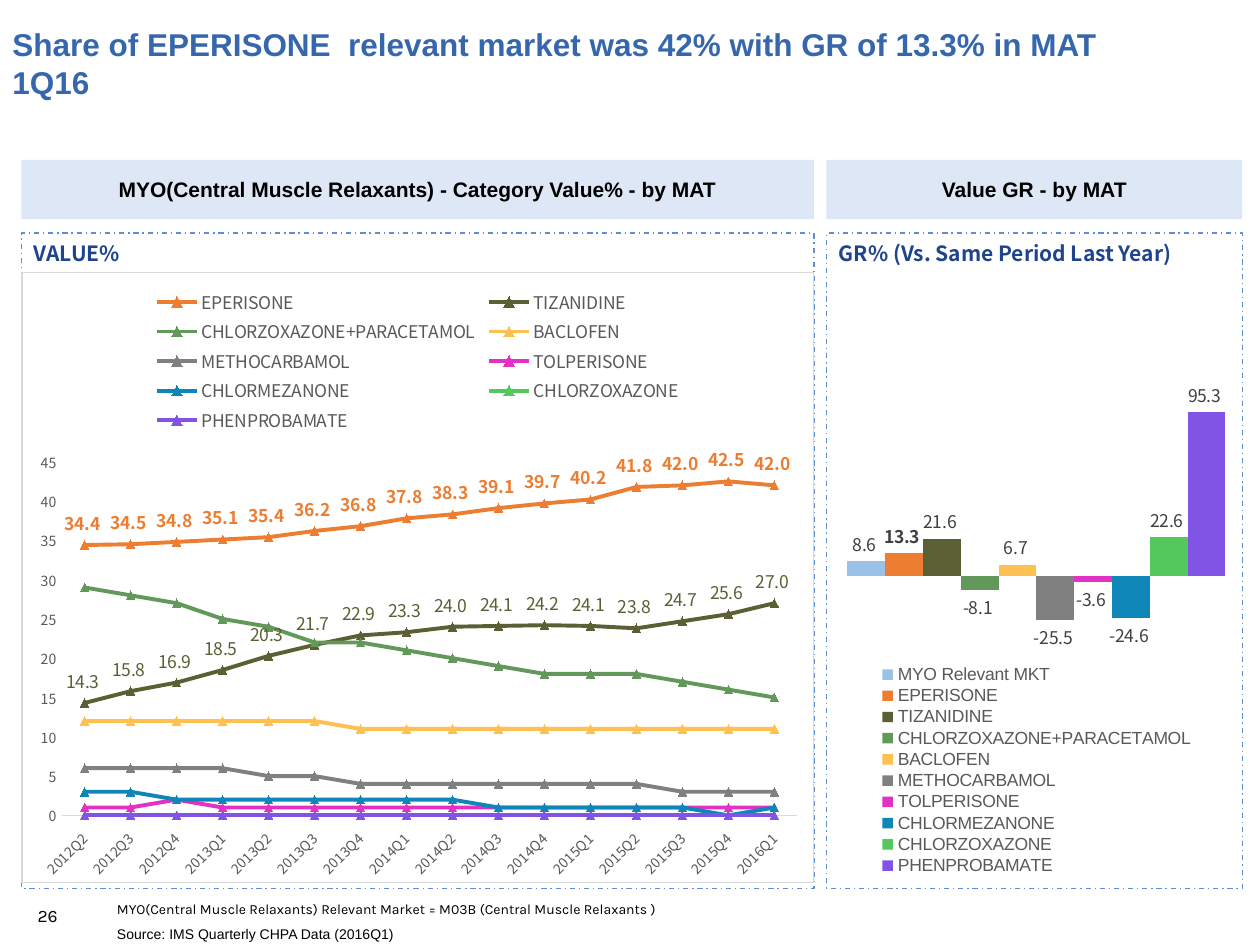
"""Build a slide on muscle relaxant market share and growth."""
from lxml import etree
from pptx import Presentation
from pptx.chart.data import CategoryChartData
from pptx.dml.color import RGBColor
from pptx.enum.chart import (XL_CHART_TYPE, XL_LABEL_POSITION, XL_LEGEND_POSITION,
                             XL_MARKER_STYLE, XL_TICK_LABEL_POSITION, XL_TICK_MARK)
from pptx.enum.dml import MSO_LINE
from pptx.enum.shapes import MSO_SHAPE
from pptx.enum.text import MSO_ANCHOR, PP_ALIGN
from pptx.oxml import parse_xml
from pptx.oxml.ns import nsdecls, qn
from pptx.util import Inches, Pt

COLUMN, LINE = XL_CHART_TYPE.COLUMN_CLUSTERED, XL_CHART_TYPE.LINE_MARKERS
ABOVE, OUTER = XL_LABEL_POSITION.ABOVE, XL_LABEL_POSITION.OUTSIDE_END
TOP, BOTTOM = XL_LEGEND_POSITION.TOP, XL_LEGEND_POSITION.BOTTOM
TRIANGLE, NO_TICK = XL_MARKER_STYLE.TRIANGLE, XL_TICK_MARK.NONE
LOW = XL_TICK_LABEL_POSITION.LOW
RECT, DASH = MSO_SHAPE.RECTANGLE, MSO_LINE.DASH_DOT
MIDDLE, UPPER = MSO_ANCHOR.MIDDLE, MSO_ANCHOR.TOP
CENTER = PP_ALIGN.CENTER

SANS, CJK, KARLA = "Arial", "Noto Sans CJK SC", "Karla"
BLACK, NAVY, GREY, PALE = "000000", "1F448D", "595959", "D9D9D9"
BOLD = "EPERISONE"

TEXTS = [
    ("26", (0.2, 7.13, 0.63, 0.27), 10, KARLA, BLACK, False, MIDDLE),
    ("Share of EPERISONE  relevant market was 42% with GR of 13.3% in MAT 1Q16",
     (0, 0, 8.91, 1), 18, SANS, "3667AC", True, MIDDLE),
    ("MYO(Central Muscle Relaxants) Relevant Market = M03B (Central Muscle Relaxants )",
     (0.83, 7.12, 8.32, 0.18), 8, KARLA, BLACK, False, MIDDLE),
    ("Source: IMS Quarterly CHPA Data (2016Q1)",
     (0.83, 7.3, 8.32, 0.24), 8, SANS, BLACK, False, UPPER),
]
PANELS = [
    (0.17, 6.29, "MYO(Central Muscle Relaxants) - Category Value% - by MAT", "VALUE%"),
    (6.56, 3.3, "Value GR - by MAT", "GR% (Vs. Same Period Last Year)"),
]
GROWTH = [
    ("MYO Relevant MKT", 8.6, "9BC2E6"),
    ("EPERISONE", 13.3, "ED7D31"),
    ("TIZANIDINE", 21.6, "5C5F33"),
    ("CHLORZOXAZONE+PARACETAMOL", -8.1, "62995B"),
    ("BACLOFEN", 6.7, "FDC051"),
    ("METHOCARBAMOL", -25.5, "808080"),
    ("TOLPERISONE", -3.6, "E331C5"),
    ("CHLORMEZANONE", -24.6, "0E87B8"),
    ("CHLORZOXAZONE", 22.6, "54C85C"),
    ("PHENPROBAMATE", 95.3, "8154E6"),
]
SHARES = [
    [34.4, 34.5, 34.8, 35.1, 35.4, 36.2, 36.8, 37.8,
     38.3, 39.1, 39.7, 40.2, 41.8, 42, 42.5, 42],
    [14.3, 15.8, 16.9, 18.5, 20.3, 21.7, 22.9, 23.3,
     24, 24.1, 24.2, 24.1, 23.8, 24.7, 25.6, 27],
    [29, 28, 27, 25, 24, 22, 22, 21, 20, 19, 18, 18, 18, 17, 16, 15],
    [12] * 6 + [11] * 10,
    [6] * 4 + [5] * 2 + [4] * 7 + [3] * 3,
    [1, 1, 2] + [1] * 13,
    [3] * 2 + [2] * 7 + [1] * 5 + [0, 1],
    [0] * 16,
    [0] * 16,
]
COLORS = {name: color for name, _, color in GROWTH}
TERMS = [f"{n // 4}Q{n % 4 + 1}" for n in range(2012 * 4 + 1, 2016 * 4 + 1)]


def rgb(code):
    return RGBColor.from_string(code)


def style(font, size, face, color, bold=False):
    font.size, font.name, font.bold = Pt(size), face, bold
    font.color.rgb = rgb(color)


def write(shape, text, size, face, color, bold, anchor, wrap=True):
    frame = shape.text_frame
    frame.word_wrap, frame.vertical_anchor = wrap, anchor
    para = frame.paragraphs[0]
    para.text = text
    style(para.font, size, face, color, bold)
    return para


def add_text(slide, text, box, *look):
    write(slide.shapes.add_textbox(*map(Inches, box)), text, *look)


def add_rect(slide, *box):
    shape = slide.shapes.add_shape(RECT, *map(Inches, box))
    shape.shadow.inherit = False
    return shape


def add_panel(slide, left, width, head, label):
    bar = add_rect(slide, left, 1.27, width, 0.47)
    bar.fill.solid()
    bar.fill.fore_color.rgb = rgb("ABC5E7")
    tint = bar.fill._xPr.find(".//" + qn("a:srgbClr"))
    etree.SubElement(tint, qn("a:alpha"), val="40000")
    bar.line.fill.background()
    write(bar, head, 12, SANS, BLACK, True, MIDDLE, False).alignment = CENTER
    add_text(slide, label, (left, 1.86, width, 0.3), 12, CJK, NAVY, True, UPPER)
    frame = add_rect(slide, left, 1.85, width, 5.2)
    frame.fill.background()
    frame.line.color.rgb = rgb("5D8FD1")
    frame.line.width, frame.line.dash_style = Pt(0.75), DASH


def place(node, index, spots, inner=False):
    for old in node.findall(qn("c:layout")):
        node.remove(old)
    layout = etree.Element(qn("c:layout"))
    manual = etree.SubElement(layout, qn("c:manualLayout"))
    pairs = [("layoutTarget", "inner")] if inner else []
    pairs += [("xMode", "edge"), ("yMode", "edge"), *zip("xywh", spots)]
    for tag, value in pairs:
        etree.SubElement(manual, qn("c:" + tag), val=str(value))
    node.insert(index, layout)


def add_chart(slide, kind, left, width, cats, rows, plot, key, spot, face, line):
    data = CategoryChartData()
    data.categories = cats
    for name, vals in rows:
        data.add_series(name, vals)
    box = map(Inches, (left, 2.16, width, 4.85))
    chart = slide.shapes.add_chart(kind, *box, data).chart
    style(chart.font, 10, CJK, BLACK)
    chart.has_title = False
    chart.has_legend = True
    legend = chart.legend
    legend.position, legend.include_in_layout = key, False
    style(legend.font, 10, face, GREY)
    place(legend._element, 1, spot)
    root = chart._chartSpace.find(qn("c:chart"))
    place(root.find(qn("c:plotArea")), 0, plot, True)
    root.addnext(parse_xml(
        f'<c:spPr {nsdecls("c", "a")}><a:noFill/><a:ln w="9525">{line}</a:ln></c:spPr>'))
    chart.value_axis.has_major_gridlines = False
    return chart


def add_labels(series, color, spot):
    labels = series.data_labels
    labels.show_value, labels.position = True, spot
    labels.number_format, labels.number_format_is_linked = "#,##0.0_ ", False
    style(labels.font, 10, CJK, color, series.name == BOLD)


def add_shares(slide, left, width):
    border = f'<a:solidFill><a:srgbClr val="{PALE}"/></a:solidFill>'
    chart = add_chart(slide, LINE, left, width, TERMS, zip(list(COLORS)[1:], SHARES),
                      (0.05, 0.31, 0.93, 0.58), TOP, (0.16, 0.02, 0.68, 0.25), CJK, border)
    for axis in (chart.category_axis, chart.value_axis):
        axis.major_tick_mark = axis.minor_tick_mark = NO_TICK
        style(axis.tick_labels.font, 8, CJK, GREY)
    dates, scale = chart.category_axis, chart.value_axis
    dates.format.line.color.rgb = rgb(PALE)
    dates.format.line.width = Pt(0.75)
    dates.tick_label_position = LOW
    dates._element.find(qn("c:txPr")).find(qn("a:bodyPr")).set("rot", "-2700000")
    scale.minimum_scale, scale.maximum_scale, scale.major_unit = 0, 45, 5
    scale.tick_labels.number_format = "#,##0"
    scale.tick_labels.number_format_is_linked = False
    scale.format.line.fill.background()
    for num, series in enumerate(chart.plots[0].series):
        color = COLORS[series.name]
        series.smooth = False
        series.format.line.color.rgb = rgb(color)
        series.format.line.width = Pt(2.25)
        mark = series.marker
        mark.style, mark.size = TRIANGLE, 5
        mark.format.fill.solid()
        mark.format.fill.fore_color.rgb = rgb(color)
        mark.format.line.color.rgb = rgb(color)
        if num < 2:
            add_labels(series, color, ABOVE)


def add_growth(slide, left, width):
    rows = [(name, [val]) for name, val, _ in GROWTH]
    chart = add_chart(slide, COLUMN, left, width, ["1"], rows, (0.05, 0.16, 0.91, 0.45),
                      BOTTOM, (0.12, 0.64, 0.77, 0.35), SANS, "<a:noFill/>")
    chart.category_axis.visible = chart.value_axis.visible = False
    chart.value_axis.minimum_scale, chart.value_axis.maximum_scale = -40, 120
    plot = chart.plots[0]
    plot.gap_width, plot.overlap, plot.vary_by_categories = 1, 0, False
    for series in plot.series:
        series.invert_if_negative = False
        series.format.fill.solid()
        series.format.fill.fore_color.rgb = rgb(COLORS[series.name])
        add_labels(series, "404040", OUTER)


def main():
    deck = Presentation()
    deck.slide_width, deck.slide_height = Inches(10), Inches(7.5)
    slide = deck.slides.add_slide(deck.slide_layouts[6])
    for row in TEXTS:
        add_text(slide, *row)
    for panel in PANELS:
        add_panel(slide, *panel)
    for draw, panel in zip((add_shares, add_growth), PANELS):
        draw(slide, *panel[:2])
    deck.save("out.pptx")


if __name__ == "__main__":
    main()
